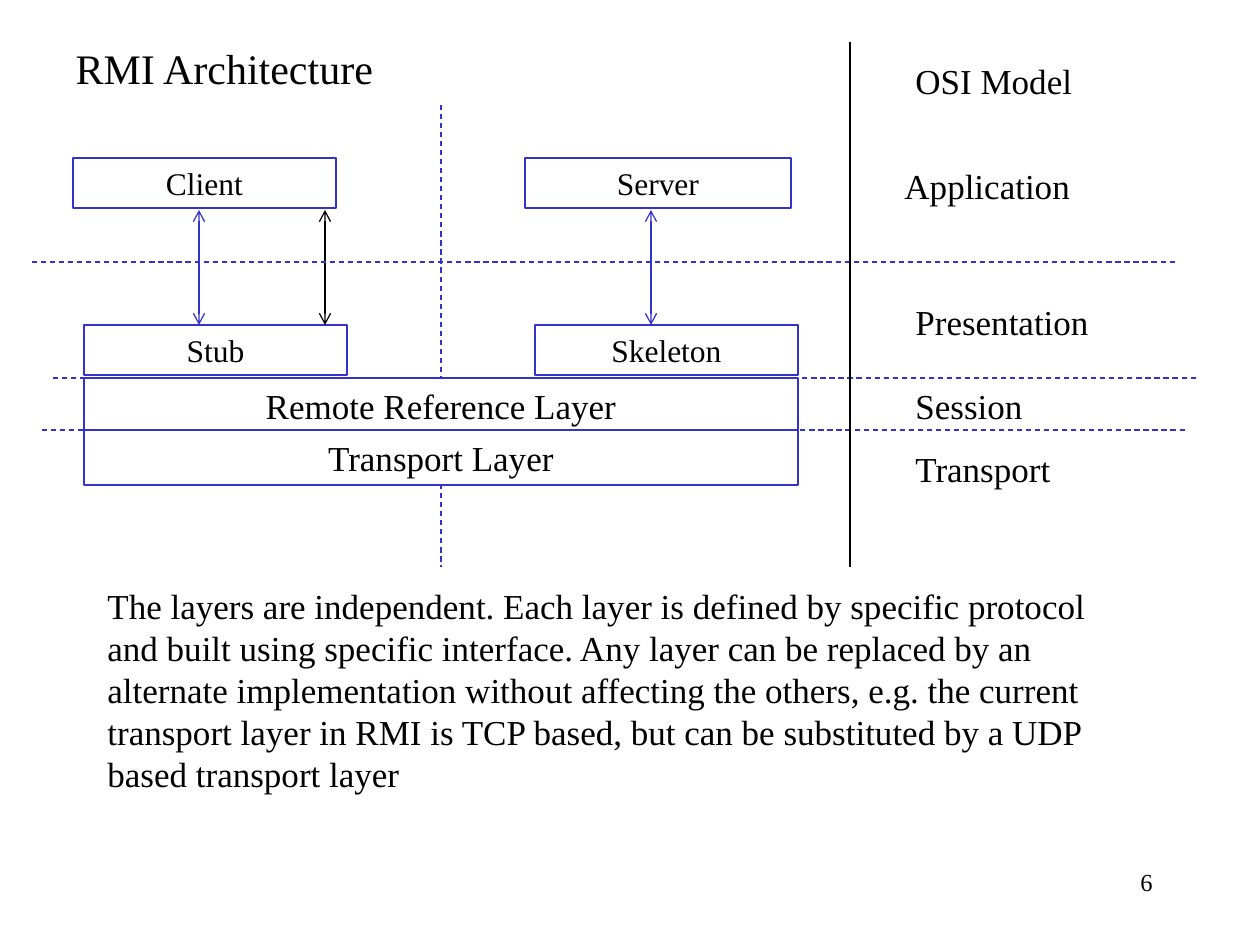
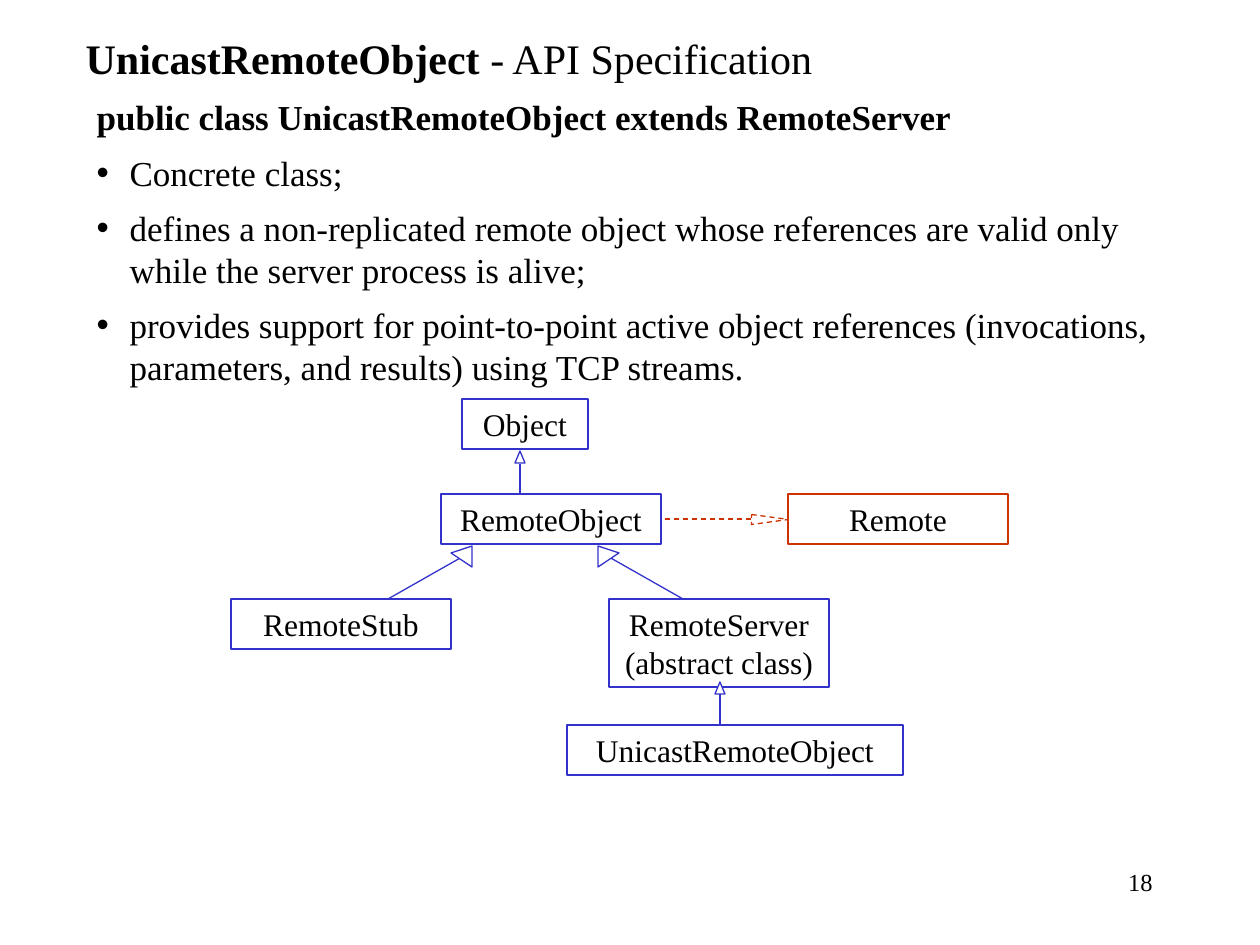
from lxml.etree import SubElement
from pptx import Presentation
from pptx.dml.color import RGBColor
from pptx.enum.dml import MSO_LINE
from pptx.enum.shapes import MSO_CONNECTOR, MSO_SHAPE
from pptx.enum.text import MSO_ANCHOR, MSO_AUTO_SIZE, PP_ALIGN
from pptx.oxml.ns import qn
from pptx.util import Emu, Pt

BLACK = RGBColor(0x00, 0x00, 0x00)
WHITE = RGBColor(0xFF, 0xFF, 0xFF)
BLUE = RGBColor(0x33, 0x33, 0xCC)
RED = RGBColor(0xCC, 0x33, 0x00)
FONT = "Times New Roman"
TITLE_SIZE, BODY_SIZE, BOX_SIZE, NUMBER_SIZE = 24, 20, 18, 14
PX_PER_INCH = 126
TITLE_ONLY, TITLE_AND_CONTENT = 5, 1
RIGHT_SIDE = 3

# Areas are (left, top, width, height) in px.
NUMBER_AREA = (903, 861, 262, 63)

# RMI architecture
ARCHITECTURE_TITLE = [("RMI Architecture", False)]
PARTS = [
    ("Server", (525, 158, 266, 50)),
    ("Skeleton", (535, 325, 263, 50)),
    ("Client", (73, 158, 263, 50)),
    ("Stub", (84, 325, 263, 50)),
]
LAYERS = [("Remote Reference Layer", 378), ("Transport Layer", 430)]
LAYER_LEFT, LAYER_WIDTH, LABEL_HEIGHT = 84, 714, 55
CALL_TOP, CALL_BOTTOM = 210, 325
CALLS = [(325, BLACK), (199, BLUE), (651, BLUE)]
SEPARATORS = [(32, 262), (53, 378), (42, 430)]
SEPARATOR_LENGTH = 1144
OSI_LABELS = [
    ("OSI Model", 903, 53),
    ("Application", 892, 158),
    ("Presentation", 903, 294),
    ("Session", 903, 378),
    ("Transport", 903, 441),
]
OSI_WIDTH = 231
EXPLANATION = (
    "The layers are independent. Each layer is defined by specific protocol "
    "and built using specific interface. Any layer can be replaced by an "
    "alternate implementation without affecting the others, e.g. the current "
    "transport layer in RMI is TCP based, but can be substituted by a UDP "
    "based transport layer"
)

# UnicastRemoteObject
API_TITLE = [("UnicastRemoteObject", True), (" - API Specification", False)]
DECLARATION = "public class UnicastRemoteObject extends RemoteServer"
PROPERTIES = [
    "Concrete class;",
    "defines a non-replicated remote object whose references are valid only "
    "while the server process is alive;",
    "provides support for point-to-point active object references "
    "(invocations, parameters, and results) using TCP streams.",
]
CLASSES = [
    (["Object"], (462, 399, 126, 50), BLUE),
    (["RemoteObject"], (441, 494, 220, 50), BLUE),
    (["RemoteStub"], (231, 599, 220, 50), BLUE),
    (["RemoteServer", "(abstract class)"], (609, 599, 220, 88), BLUE),
    (["UnicastRemoteObject"], (567, 725, 336, 50), BLUE),
    (["Remote"], (788, 494, 220, 50), RED),
]
# Each: line start, line end, triangle area, rotation, apex position
INHERITANCE = [
    ((520, 494), (520, 464), (515, 451, 10, 12), 0, 0.5),
    ((720, 725), (720, 694), (715, 682, 10, 12), 0, 0.5),
    ((388, 599), (462, 557), (451, 546, 21, 21), 270, 0.67),
    ((683, 599), (609, 557), (598, 546, 21, 21), 90, 0.33),
]
IMPLEMENTS_END = (751, 519)
IMPLEMENTS_HEAD = (765, 501, 10, 37)


def px(value):
    return Emu(round(value * 914400 / PX_PER_INCH))


def place(shape, area):
    shape.left, shape.top, shape.width, shape.height = map(px, area)


def add_run(paragraph, text, size, bold=False):
    run = paragraph.add_run()
    run.text = text
    run.font.name = FONT
    run.font.size = Pt(size)
    run.font.bold = bold
    run.font.color.rgb = BLACK


def write(shape, lines, size, align=PP_ALIGN.LEFT):
    """Fill a shape with one paragraph per line, from the top."""
    frame = shape.text_frame
    frame.word_wrap = True
    frame.vertical_anchor = MSO_ANCHOR.TOP
    for index, line in enumerate(lines):
        paragraph = frame.add_paragraph() if index else frame.paragraphs[0]
        paragraph.alignment = align
        add_run(paragraph, line, size)


def add_label(slide, text, area, size=BODY_SIZE, align=PP_ALIGN.LEFT):
    write(slide.shapes.add_textbox(*map(px, area)), [text], size, align)


def add_outlined(slide, kind, area, color, fill=None):
    shape = slide.shapes.add_shape(kind, *map(px, area))
    shape.shadow.inherit = False
    if fill is None:
        shape.fill.background()
    else:
        shape.fill.solid()
        shape.fill.fore_color.rgb = fill
    shape.line.color.rgb = color
    shape.line.width = Pt(0.75)
    return shape


def add_box(slide, lines, area, color=BLUE, fill=None, size=BOX_SIZE):
    box = add_outlined(slide, MSO_SHAPE.RECTANGLE, area, color, fill)
    write(box, lines, size, PP_ALIGN.CENTER)
    return box


def add_triangle(slide, area, color, rotation, apex=0.5):
    triangle = add_outlined(slide, MSO_SHAPE.ISOSCELES_TRIANGLE, area, color, WHITE)
    triangle.adjustments[0] = apex
    triangle.rotation = rotation
    return triangle


def add_line(slide, start, end, color=BLUE, dashed=False, arrows=False):
    line = slide.shapes.add_connector(MSO_CONNECTOR.STRAIGHT, *map(px, start + end))
    line.line.color.rgb = color
    line.line.width = Pt(0.75)
    if dashed:
        line.line.dash_style = MSO_LINE.DASH
    properties = line._element.spPr
    if arrows:
        for tag in ("a:headEnd", "a:tailEnd"):
            SubElement(properties.find(qn("a:ln")), qn(tag), type="arrow")
    SubElement(properties, qn("a:effectLst"))
    return line


def add_slide(presentation, layout, title_runs, title_area, number):
    """Add a slide with its title and page number."""
    slide = presentation.slides.add_slide(presentation.slide_layouts[layout])
    title = slide.shapes.title
    place(title, title_area)
    frame = title.text_frame
    frame.auto_size = MSO_AUTO_SIZE.NONE
    frame.vertical_anchor = MSO_ANCHOR.MIDDLE
    paragraph = frame.paragraphs[0]
    paragraph.alignment = PP_ALIGN.LEFT
    for text, bold in title_runs:
        add_run(paragraph, text, TITLE_SIZE, bold)
    add_label(slide, number, NUMBER_AREA, NUMBER_SIZE, PP_ALIGN.RIGHT)
    return slide


def build_architecture(presentation):
    slide = add_slide(presentation, TITLE_ONLY, ARCHITECTURE_TITLE,
                      (63, 0, 1071, 136), "6")
    add_line(slide, (441, 105), (441, 567), dashed=True)
    for name, area in PARTS:
        add_box(slide, [name], area, fill=WHITE)
    for x, color in CALLS:
        add_line(slide, (x, CALL_TOP), (x, CALL_BOTTOM), color, arrows=True)
    for name, top in LAYERS:
        area = (LAYER_LEFT, top, LAYER_WIDTH, LABEL_HEIGHT)
        add_box(slide, [name], area, fill=WHITE, size=BODY_SIZE)
    for left, y in SEPARATORS:
        add_line(slide, (left, y), (left + SEPARATOR_LENGTH, y), dashed=True)
    for name, left, top in OSI_LABELS:
        add_label(slide, name, (left, top, OSI_WIDTH, LABEL_HEIGHT))
    add_line(slide, (850, 42), (850, 567), BLACK)
    add_label(slide, EXPLANATION, (95, 578, 1040, 223))


def write_properties(body):
    place(body, (84, 94, 1092, 300))
    frame = body.text_frame
    frame.auto_size = MSO_AUTO_SIZE.NONE
    write(body, [DECLARATION] + PROPERTIES, BODY_SIZE)
    for index, paragraph in enumerate(frame.paragraphs):
        paragraph.space_before = Pt(7.5 if index else 0)
        properties = paragraph._p.get_or_add_pPr()
        properties.set("marL", str(px(33)))
        properties.set("indent", str(px(-33)))
        if index:
            SubElement(properties, qn("a:buChar"), char="•")
        else:
            paragraph.line_spacing = 0.9
            paragraph.runs[0].font.bold = True
            SubElement(properties, qn("a:buNone"))


def build_api(presentation):
    slide = add_slide(presentation, TITLE_AND_CONTENT, API_TITLE,
                      (73, 0, 819, 116), "18")
    write_properties(slide.placeholders[1])
    boxes = {lines[0]: add_box(slide, lines, area, color)
             for lines, area, color in CLASSES}
    for start, end, head, rotation, apex in INHERITANCE:
        add_line(slide, start, end)
        add_triangle(slide, head, BLUE, rotation, apex)
    head = add_triangle(slide, IMPLEMENTS_HEAD, RED, 90)
    head.line.dash_style = MSO_LINE.DASH
    implements = add_line(slide, IMPLEMENTS_END, (661, 519), RED, dashed=True)
    implements.end_connect(boxes["RemoteObject"], RIGHT_SIDE)


def main():
    presentation = Presentation()
    presentation.slide_width = px(1260)
    presentation.slide_height = px(945)
    build_architecture(presentation)
    build_api(presentation)
    presentation.save("out.pptx")


if __name__ == "__main__":
    main()
